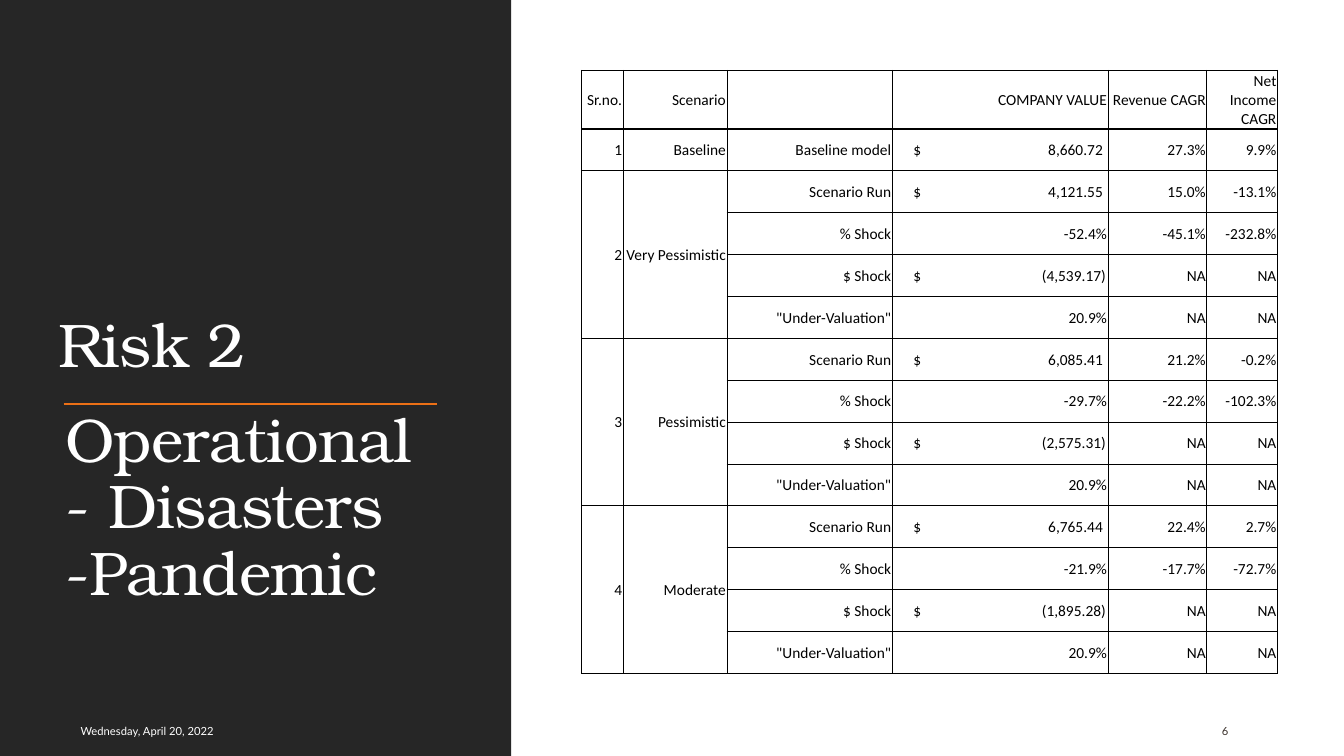
from dataclasses import dataclass

from lxml.etree import SubElement
from pptx import Presentation
from pptx.dml.color import RGBColor
from pptx.enum.shapes import MSO_CONNECTOR, MSO_SHAPE
from pptx.enum.text import MSO_ANCHOR as Anchor, PP_ALIGN as Align
from pptx.oxml.ns import qn
from pptx.util import Emu, Inches, Pt


@dataclass(frozen=True)
class Theme:
    panel: str = "262626"
    light: str = "FFFFFF"
    rule: str = "EC7016"
    number: str = "39302A"
    ink: str = "000000"
    title_font: str = "TeX Gyre Bonum"
    footer_font: str = "Lato"
    table_font: str = "Calibri"
    title_size: int = 44
    footer_size: int = 8
    table_size: int = 11
    thin: float = 0.5
    thick: float = 1


THEME = Theme()
HEADERS = ["Sr.no.", "Scenario", "", "COMPANY VALUE", "Revenue CAGR", "Net Income CAGR"]
BASELINE = ("Baseline", [("Baseline model", "$ 8,660.72", "27.3%", "9.9%")])


def shocked(name, run, percent, dollars):
    """Four result rows of one scenario; the last two have no growth rates."""
    return name, [
        ("Scenario Run", *run),
        ("% Shock", *percent),
        ("$ Shock", dollars, "NA", "NA"),
        ('"Under-Valuation"', "20.9%", "NA", "NA"),
    ]


SCENARIOS = [
    BASELINE,
    shocked("Very Pessimistic", ("$ 4,121.55", "15.0%", "-13.1%"),
            ("-52.4%", "-45.1%", "-232.8%"), "$ (4,539.17)"),
    shocked("Pessimistic", ("$ 6,085.41", "21.2%", "-0.2%"),
            ("-29.7%", "-22.2%", "-102.3%"), "$ (2,575.31)"),
    shocked("Moderate", ("$ 6,765.44", "22.4%", "2.7%"),
            ("-21.9%", "-17.7%", "-72.7%"), "$ (1,895.28)"),
]
COLUMN_WIDTHS = [0.41, 1.03, 1.64, 2.14, 0.98, 0.7]
HEADER_HEIGHT = Inches(0.58)
DOLLAR_TAB, AMOUNT_TAB, NEGATIVE_TAB = Inches(0.2), Inches(2.08), Inches(2.11)


def set_font(paragraph, name, size, color):
    font = paragraph.font
    font.name, font.size = name, Pt(size)
    font.color.rgb = RGBColor.from_string(color)


def add_text(slide, box, text, name, size, color, anchor):
    frame = slide.shapes.add_textbox(*box).text_frame
    frame.word_wrap = True
    frame.vertical_anchor = anchor
    paragraph = frame.paragraphs[0]
    paragraph.text = text
    set_font(paragraph, name, size, color)
    return paragraph


def add_heading(slide, box, text, anchor):
    heading = add_text(slide, box, text, THEME.title_font, THEME.title_size,
                       THEME.light, anchor)
    heading.line_spacing = 0.9
    heading._p.pPr.find(qn("a:defRPr")).set("spc", "-50")


def add_title_panel(slide, left, top, width, height):
    panel = slide.shapes.add_shape(MSO_SHAPE.RECTANGLE, left, top, width, height)
    panel.shadow.inherit = False
    panel.fill.solid()
    panel.fill.fore_color.rgb = RGBColor.from_string(THEME.panel)
    panel.line.fill.background()

    heading_size = Inches(4), Inches(3.13)
    add_heading(slide, (left + Inches(0.48), top + Inches(0.7), *heading_size),
                "Risk 2", Anchor.BOTTOM)
    rule_y = top + Inches(4.01)
    rule = slide.shapes.add_connector(MSO_CONNECTOR.STRAIGHT, left + Inches(0.63), rule_y,
                                      left + Inches(4.33), rule_y)
    rule.line.color.rgb = RGBColor.from_string(THEME.rule)
    rule.line.width = Pt(1.5)
    SubElement(rule._element.spPr, qn("a:effectLst"))
    add_heading(slide, (left + Inches(0.55), rule_y, *heading_size),
                "Operational - Disasters -Pandemic", Anchor.TOP)


def add_footer(slide, left, top, height):
    for offset, width, text, color in (
        (0.7, 3.85, "Wednesday, April 20, 2022", THEME.light),
        (12.02, 0.85, "6", THEME.number),
    ):
        add_text(slide, (left + Inches(offset), top, Inches(width), height), text,
                 THEME.footer_font, THEME.footer_size, color, Anchor.MIDDLE)


def set_borders(cell, **widths):
    properties = cell._tc.get_or_add_tcPr()
    for side in "LRTB":
        line = SubElement(properties, qn(f"a:ln{side}"), w=str(Pt(widths[side])))
        fill = SubElement(line, qn("a:solidFill"))
        SubElement(fill, qn("a:srgbClr"), val=THEME.ink)


def fill_cell(cell, text):
    """Write right-aligned text; dollar amounts get a sign and a value on tab stops."""
    cell.margin_left = cell.margin_right = cell.margin_top = Inches(0.01)
    cell.margin_bottom = 0
    cell.vertical_anchor = Anchor.MIDDLE
    cell.fill.background()
    paragraph = cell.text_frame.paragraphs[0]
    paragraph.alignment = Align.RIGHT
    if text.startswith("$ ") and text != "$ Shock":
        amount = text[2:]
        text = f"\t$\t{amount}"
        paragraph.alignment = Align.LEFT
        stops = SubElement(paragraph._p.get_or_add_pPr(), qn("a:tabLst"))
        amount_tab = NEGATIVE_TAB if amount.startswith("(") else AMOUNT_TAB
        for position, align in ((DOLLAR_TAB, "l"), (amount_tab, "r")):
            SubElement(stops, qn("a:tab"), pos=str(position), algn=align)
    paragraph.text = text
    set_font(paragraph, THEME.table_font, THEME.table_size, THEME.ink)


def add_scenario_table(slide, left, top, width, height):
    rows, group_starts = [HEADERS], [0]
    for number, (name, results) in enumerate(SCENARIOS, start=1):
        group_starts.append(len(rows))
        rows += [[str(number), name, *result] for result in results]
    boundaries = group_starts + [len(rows)]

    table = slide.shapes.add_table(len(rows), len(HEADERS), left, top, width, height).table
    table.first_row = table.horz_banding = False
    for column, column_width in zip(table.columns, COLUMN_WIDTHS):
        column.width = Inches(column_width)
    for row in table.rows:
        row.height = Emu((height - HEADER_HEIGHT) // (len(rows) - 1))
    table.rows[0].height = HEADER_HEIGHT

    for start, end in zip(boundaries, boundaries[1:]):
        if end - start > 1:
            for c in (0, 1):
                table.cell(start, c).merge(table.cell(end - 1, c))

    def weight(is_edge):
        return THEME.thick if is_edge else THEME.thin

    for r, texts in enumerate(rows):
        for c, text in enumerate(texts):
            cell = table.cell(r, c)
            if cell.is_spanned:
                continue
            set_borders(cell, L=weight(c == 0), R=weight(c == len(HEADERS) - 1),
                        T=weight(r in boundaries),
                        B=weight(cell.is_merge_origin or r + 1 in boundaries))
            fill_cell(cell, text)


def main():
    deck = Presentation()
    deck.slide_width, deck.slide_height = Inches(13.33), Inches(7.5)
    slide = deck.slides.add_slide(deck.slide_layouts[6])
    add_title_panel(slide, 0, 0, Inches(5.07), deck.slide_height)
    add_footer(slide, 0, Inches(7.05), Inches(0.4))
    add_scenario_table(slide, Inches(5.77), Inches(0.7), Inches(6.9), Inches(5.98))
    deck.save("out.pptx")


if __name__ == "__main__":
    main()
